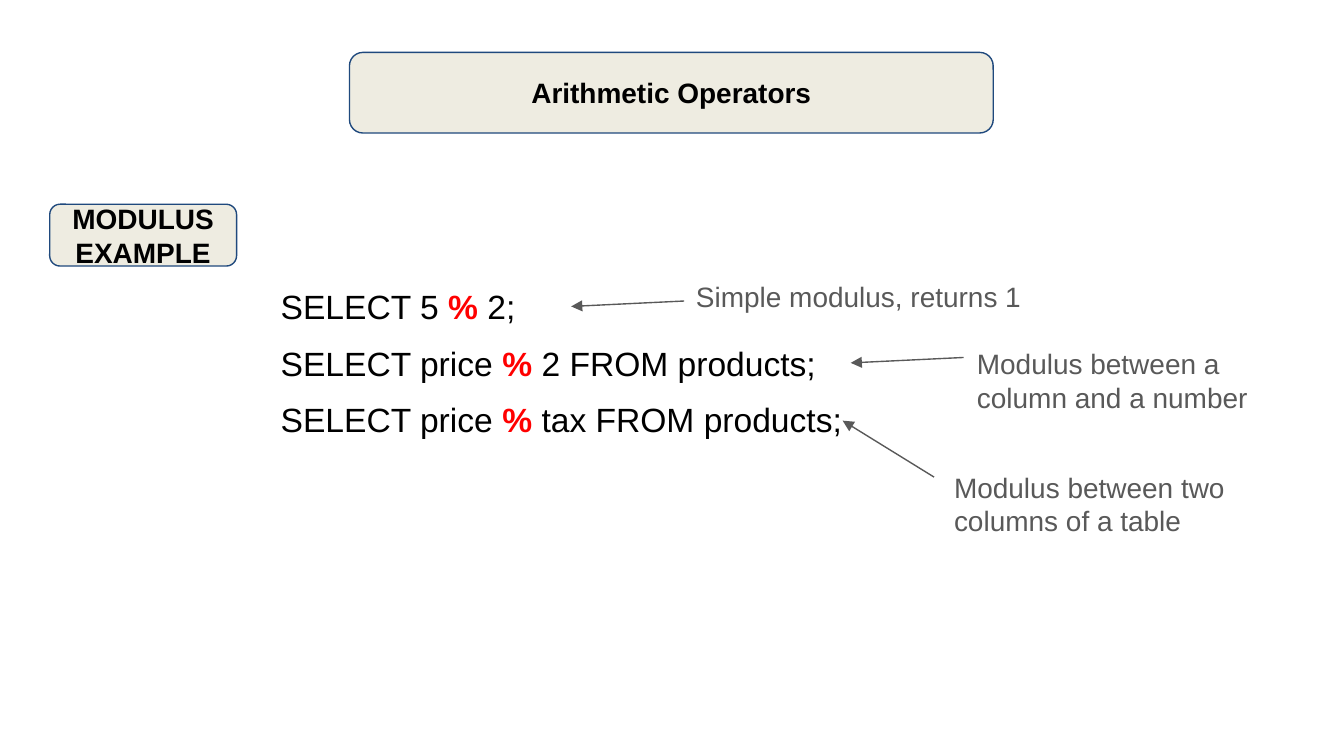
from dataclasses import dataclass

from lxml import etree
from pptx import Presentation
from pptx.dml.color import RGBColor
from pptx.enum.shapes import MSO_CONNECTOR, MSO_SHAPE
from pptx.enum.text import MSO_ANCHOR, PP_ALIGN
from pptx.oxml.ns import qn
from pptx.util import Inches, Pt

ROUNDED = MSO_SHAPE.ROUNDED_RECTANGLE
STRAIGHT = MSO_CONNECTOR.STRAIGHT
MIDDLE, TOP = MSO_ANCHOR.MIDDLE, MSO_ANCHOR.TOP
CENTER, LEFT = PP_ALIGN.CENTER, PP_ALIGN.LEFT


@dataclass(frozen=True)
class Theme:
    """Colours, font and sizes of the slide."""
    font: str = "Arial"
    ink: RGBColor = RGBColor(0, 0, 0)
    accent: RGBColor = RGBColor(0xFF, 0, 0)
    note: RGBColor = RGBColor(0x59, 0x59, 0x59)
    panel: RGBColor = RGBColor(0xEE, 0xEC, 0xE1)
    border: RGBColor = RGBColor(0x1F, 0x49, 0x7D)
    label_size: Pt = Pt(15)
    code_size: Pt = Pt(18)
    line_width: Pt = Pt(0.74)
    inset: Inches = Inches(0.1)


THEME = Theme()


def prepare_text(frame, size, color, anchor=TOP, align=LEFT):
    """Set up a text frame and return its first paragraph."""
    frame.word_wrap = True
    frame.vertical_anchor = anchor
    frame.margin_left = frame.margin_right = THEME.inset
    frame.margin_top = frame.margin_bottom = THEME.inset
    paragraph = frame.paragraphs[0]
    paragraph.alignment = align
    paragraph.font.name = THEME.font
    paragraph.font.size = size
    paragraph.font.color.rgb = color
    return paragraph


def add_label(slide, box, wording):
    """Add a bordered rounded panel with bold centred wording."""
    panel = slide.shapes.add_shape(ROUNDED, *map(Inches, box))
    panel.shadow.inherit = False
    panel.fill.solid()
    panel.fill.fore_color.rgb = THEME.panel
    panel.line.color.rgb = THEME.border
    panel.line.width = THEME.line_width
    paragraph = prepare_text(panel.text_frame, THEME.label_size, THEME.ink, MIDDLE, CENTER)
    paragraph.font.bold = True
    paragraph.add_run().text = wording


def add_queries(slide, box, pitch, queries):
    """Stack query lines with the modulus operator highlighted."""
    left, top, width, height = box
    for row, (before, after) in enumerate(queries):
        query = slide.shapes.add_textbox(
            Inches(left), Inches(top + row * pitch), Inches(width), Inches(height))
        paragraph = prepare_text(query.text_frame, THEME.code_size, THEME.ink)
        paragraph.add_run().text = before
        operator = paragraph.add_run()
        operator.text = "% "
        operator.font.bold = True
        operator.font.color.rgb = THEME.accent
        paragraph.add_run().text = after


def add_note(slide, box, wording, start, reach):
    """Add a note and an arrow whose start and reach are relative to its box."""
    left, top = box[:2]
    start_x, start_y = left + start[0], top + start[1]
    arrow = slide.shapes.add_connector(
        STRAIGHT, Inches(start_x), Inches(start_y),
        Inches(start_x + reach[0]), Inches(start_y + reach[1]))
    arrow.line.color.rgb = THEME.note
    arrow.line.width = THEME.line_width
    etree.SubElement(arrow.get_or_add_ln(), qn("a:tailEnd"), type="triangle")
    etree.SubElement(arrow.element.spPr, qn("a:effectLst"))
    note = slide.shapes.add_textbox(*map(Inches, box))
    paragraph = prepare_text(note.text_frame, THEME.label_size, THEME.note)
    paragraph.add_run().text = wording


def build_operator_slide(deck):
    """Build the modulus example slide."""
    slide = deck.slides.add_slide(deck.slide_layouts[6])
    add_label(slide, (2.6, 0.39, 4.79, 0.6), "Arithmetic Operators")
    add_label(slide, (0.37, 1.52, 1.39, 0.46), "MODULUS EXAMPLE")
    add_queries(slide, (1.99, 2.03, 5.11, 0.46), 0.42, (
        ("SELECT 5 ", "2;"),
        ("SELECT price ", "2 FROM products;"),
        ("SELECT price ", "tax FROM products;"),
    ))
    notes = (
        ((5.08, 1.98, 2.65, 0.29), "Simple modulus, returns 1",
         (0.01, 0.26), (-0.84, 0.04)),
        ((7.17, 2.48, 2.65, 0.6), "Modulus between a column and a number",
         (0, 0.18), (-0.84, 0.04)),
        ((7, 3.4, 2.81, 0.6), "Modulus between two columns of a table",
         (-0.05, 0.15), (-0.68, -0.42)),
    )
    for note in notes:
        add_note(slide, *note)


deck = Presentation()
deck.slide_width = Inches(10)
deck.slide_height = deck.slide_width * 9 // 16
build_operator_slide(deck)
deck.save("out.pptx")
